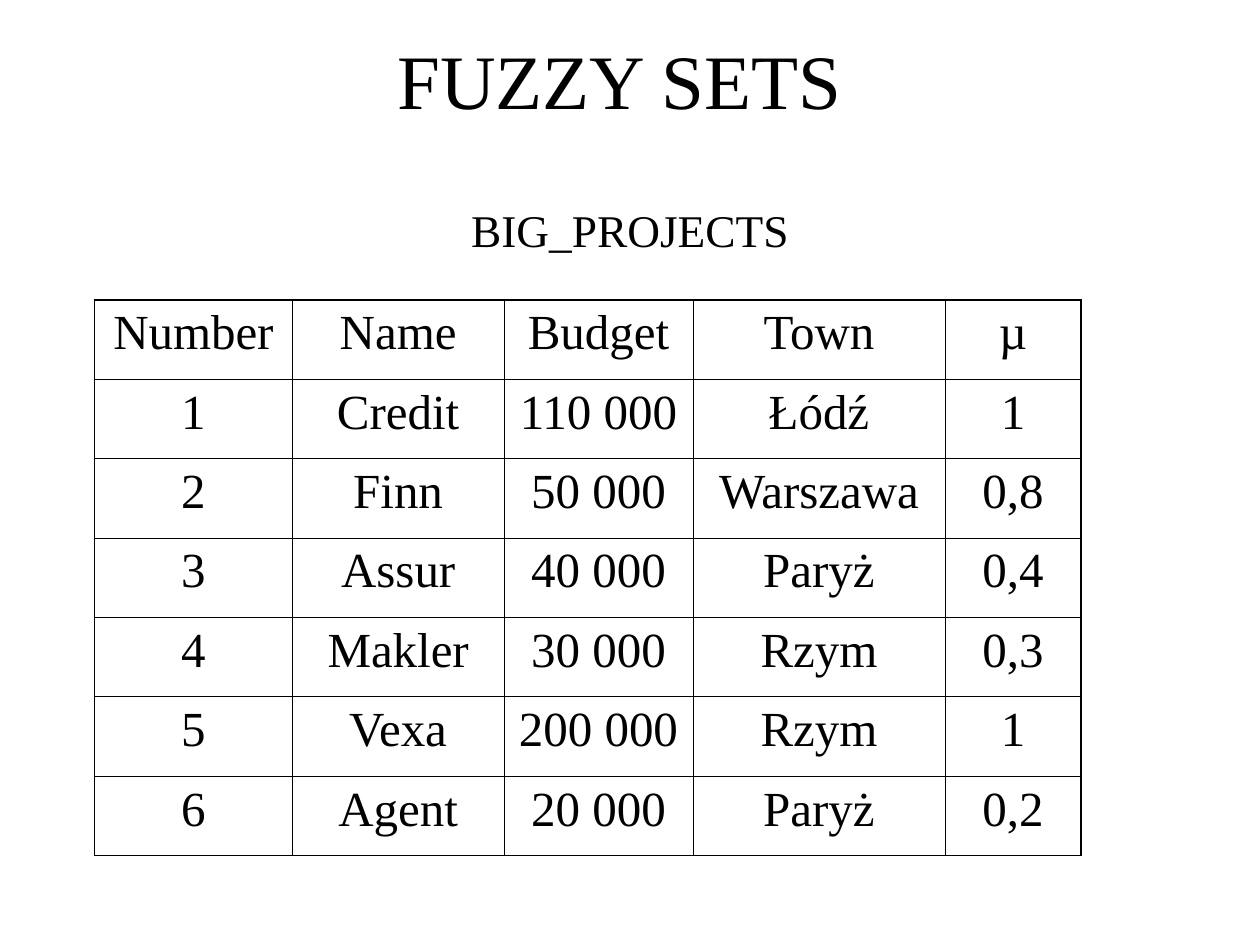
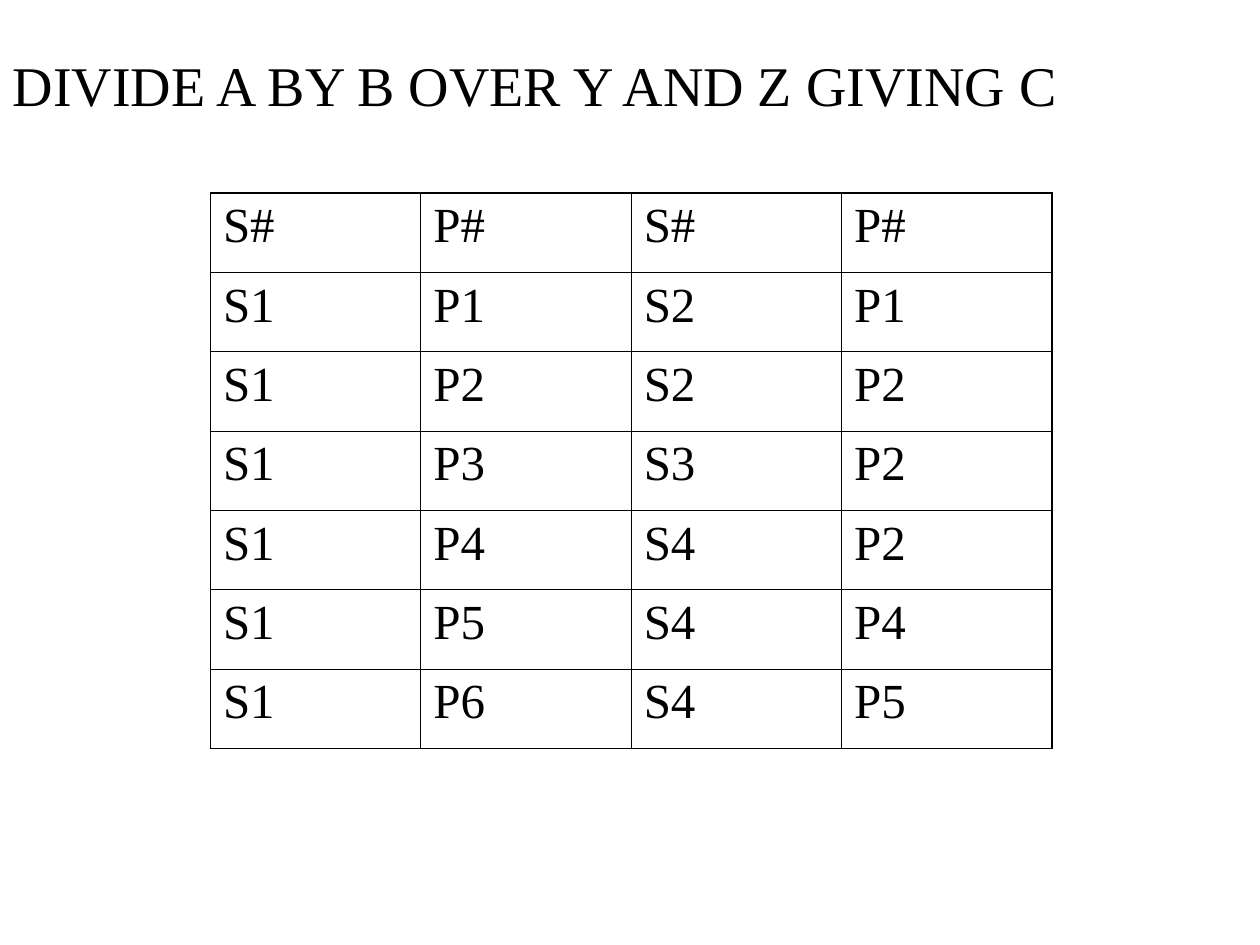
from lxml import etree
from pptx import Presentation
from pptx import util as u
from pptx.dml.color import RGBColor
from pptx.enum import text
from pptx.oxml import ns

FONT = "Times New Roman"
COLORS = {"ink": "000000", "page": "FFFFFF"}
THIN, THICK = 0.45, 1.08
ROW = 0.63
LEFT, MID = text.PP_ALIGN.LEFT, text.PP_ALIGN.CENTER
TOP, CENTER = text.MSO_ANCHOR.TOP, text.MSO_ANCHOR.MIDDLE

PROJECTS = [
    ("Number", "Name", "Budget", "Town", "µ"),
    ("1", "Credit", "110 000", "Łódź", "1"),
    ("2", "Finn", "50 000", "Warszawa", "0,8"),
    ("3", "Assur", "40 000", "Paryż", "0,4"),
    ("4", "Makler", "30 000", "Rzym", "0,3"),
    ("5", "Vexa", "200 000", "Rzym", "1"),
    ("6", "Agent", "20 000", "Paryż", "0,2"),
]
PARTS = [
    ("S#", "P#", "S#", "P#"),
    ("S1", "P1", "S2", "P1"),
    ("S1", "P2", "S2", "P2"),
    ("S1", "P3", "S3", "P2"),
    ("S1", "P4", "S4", "P2"),
    ("S1", "P5", "S4", "P4"),
    ("S1", "P6", "S4", "P5"),
]


def write(frame, words, size, align):
    para = frame.paragraphs[0]
    para.alignment = align
    run = para.add_run()
    run.text = words
    run.font.size = u.Pt(size)
    run.font.name = FONT
    run.font.color.rgb = RGBColor.from_string(COLORS["ink"])


def label(shape, box, words, size, align, anchor):
    shape.left, shape.top, shape.width, shape.height = map(u.Inches, box)
    frame = shape.text_frame
    frame.word_wrap = True
    frame.auto_size = text.MSO_AUTO_SIZE.NONE
    frame.vertical_anchor = anchor
    write(frame, words, size, align)


def border(cell, side, width):
    props = cell._tc.get_or_add_tcPr()
    line = etree.SubElement(props, ns.qn(f"a:ln{side}"), w=str(u.Pt(width)))
    fill = etree.SubElement(line, ns.qn("a:solidFill"))
    etree.SubElement(fill, ns.qn("a:srgbClr"), val=COLORS["ink"])


def grid(slide, left, top, widths, data, align):
    high = ROW * len(data)
    box = map(u.Inches, (left, top, sum(widths), high))
    table = slide.shapes.add_table(len(data), len(widths), *box).table
    table.first_row = table.horz_banding = False
    for col, width in zip(table.columns, widths):
        col.width = u.Inches(width)
    for r, row in enumerate(data):
        for c, words in enumerate(row):
            cell = table.cell(r, c)
            write(cell.text_frame, words, 28, align)
            edges = {"L": c == 0, "R": c == len(row) - 1,
                     "T": r == 0, "B": r == len(data) - 1}
            for side, outer in edges.items():
                border(cell, side, THICK if outer else THIN)
            cell.fill.background()


def add_slide(deck, *title):
    slide = deck.slides.add_slide(deck.slide_layouts[5])
    fill = slide.background.fill
    fill.solid()
    fill.fore_color.rgb = RGBColor.from_string(COLORS["page"])
    label(slide.shapes.title, *title)
    return slide


def main():
    deck = Presentation()
    deck.slide_width, deck.slide_height = u.Inches(10), u.Inches(7.5)

    fuzzy = add_slide(deck, (0.67, 0, 8.5, 1.25), "FUZZY SETS", 44, MID, CENTER)
    name = fuzzy.shapes.add_textbox(0, 0, 0, 0)
    label(name, (0.75, 1.55, 8.5, 0.54), "BIG_PROJECTS", 25.9, MID, CENTER)
    grid(fuzzy, 0.75, 2.38, (1.57, 1.68, 1.5, 2, 1.08), PROJECTS, MID)

    divide = add_slide(deck, (0, 0.35, 10, 0.8),
                       "DIVIDE A BY B OVER Y AND Z GIVING C", 32, LEFT, TOP)
    grid(divide, 1.67, 1.53, [1.67] * 4, PARTS, LEFT)

    deck.save("out.pptx")


if __name__ == "__main__":
    main()
